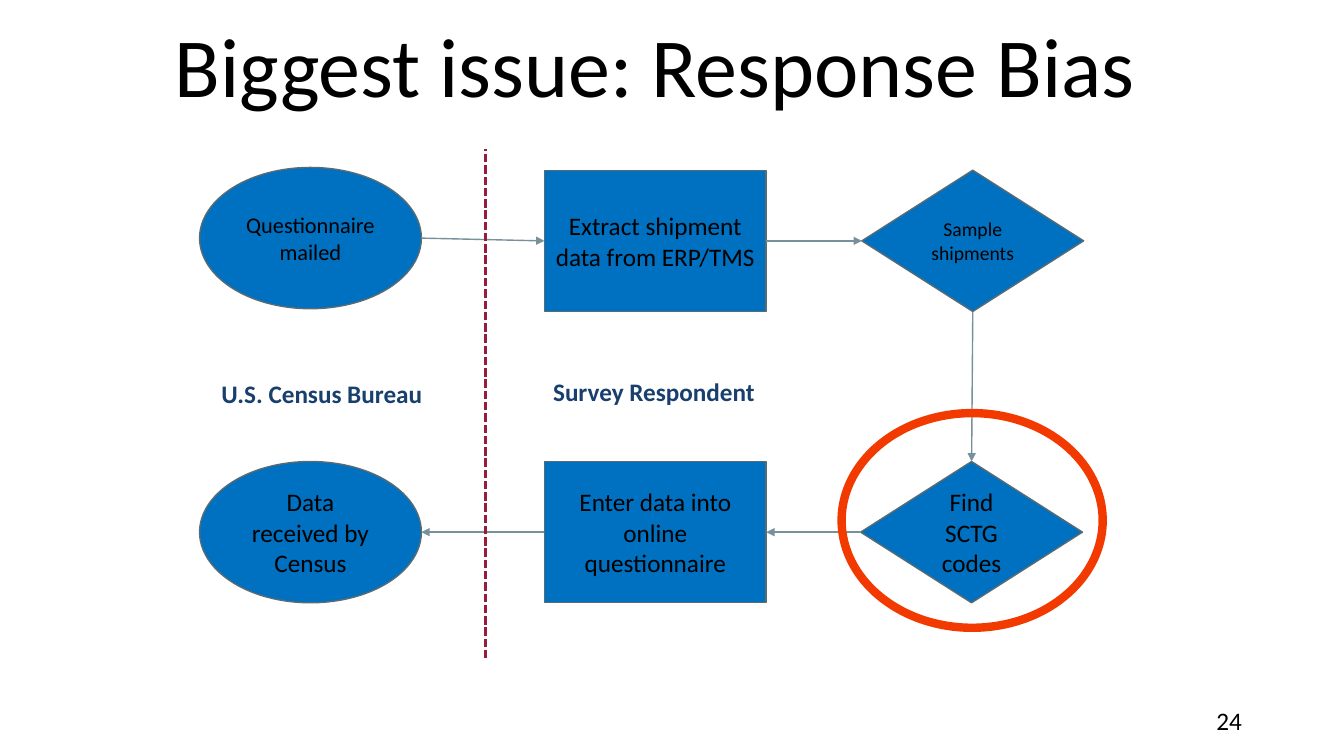
import dataclasses

import pptx
import pptx.dml.color
import pptx.enum.dml
import pptx.enum.shapes
import pptx.enum.text
import pptx.oxml
import pptx.oxml.ns
import pptx.util

Cm = pptx.util.Cm
Pt = pptx.util.Pt
Align = pptx.enum.text.PP_ALIGN
Anchor = pptx.enum.text.MSO_ANCHOR
Shape = pptx.enum.shapes.MSO_SHAPE


@dataclasses.dataclass(frozen=True)
class Theme:
    font: str = "Calibri"
    text: str = "000000"
    label: str = "183F6E"
    node_fill: str = "0070C0"
    node_line: str = "596B73"
    arrow: str = "78909C"
    divider: str = "981D3D"
    highlight: str = "F23A00"
    title_size: int = 60
    body_size: int = 18
    medium_size: int = 16
    small_size: int = 14


@dataclasses.dataclass(frozen=True)
class Box:
    """A rectangle in centimetres."""
    left: float
    top: float
    width: float
    height: float

    def inner(self, left, top, width, height):
        return Box(self.left + left, self.top + top, width, height)

    def lengths(self):
        return [Cm(value) for value in dataclasses.astuple(self)]


THEME = Theme()
NODE_WIDTH, NODE_HEIGHT = 5.59, 3.56

# key: preset, left, top, text, size
NODES = {
    "mailed": (Shape.OVAL, 0, 0.46, "Questionnaire mailed", THEME.medium_size),
    "received": (Shape.OVAL, 0, 7.87, "Data received by Census", THEME.body_size),
    "extract": (Shape.RECTANGLE, 8.69, 0.53, "Extract shipment data from ERP/TMS", THEME.body_size),
    "sample": (Shape.DIAMOND, 16.69, 0.53, "Sample shipments", THEME.small_size),
    "codes": (Shape.DIAMOND, 16.66, 7.87, "Find SCTG codes", THEME.body_size),
    "enter": (Shape.RECTANGLE, 8.69, 7.87, "Enter data into online questionnaire", THEME.body_size),
}
# Sites are numbered anticlockwise from the top.
TOP, LEFT, BOTTOM, RIGHT = range(4)
ARROWS = [
    ("mailed", RIGHT, "extract", LEFT),
    ("extract", RIGHT, "sample", LEFT),
    ("sample", BOTTOM, "codes", TOP),
    ("codes", LEFT, "enter", RIGHT),
    ("enter", LEFT, "received", RIGHT),
]


def rgb(value):
    return pptx.dml.color.RGBColor.from_string(value)


def apply(target, values):
    for name, value in values.items():
        setattr(target, name, value)


def write(shape, text, size, align, anchor, color=THEME.text, bold=False, wrap=True, spacing=1.0):
    frame = shape.text_frame
    apply(frame, {"word_wrap": wrap, "vertical_anchor": anchor})
    paragraph = frame.paragraphs[0]
    apply(paragraph, {"alignment": align, "line_spacing": spacing})
    run = paragraph.add_run()
    run.text = text
    apply(run.font, {"name": THEME.font, "size": Pt(size), "bold": bold})
    run.font.color.rgb = rgb(color)


def add_text(slide, box, text, size, align, anchor, **options):
    write(slide.shapes.add_textbox(*box.lengths()), text, size, align, anchor, **options)


def add_outlined(slide, preset, box, line, width, fill=None):
    shape = slide.shapes.add_shape(preset, *box.lengths())
    shape.shadow.inherit = False
    if fill:
        shape.fill.solid()
        shape.fill.fore_color.rgb = rgb(fill)
    else:
        shape.fill.background()
    shape.line.color.rgb = rgb(line)
    shape.line.width = Pt(width)
    return shape


def add_line(slide, color, width, start=(0, 0), end=(0, 0)):
    points = [Cm(value) for value in (*start, *end)]
    line = slide.shapes.add_connector(pptx.enum.shapes.MSO_CONNECTOR.STRAIGHT, *points)
    line.line.color.rgb = rgb(color)
    line.line.width = Pt(width)
    line._element.spPr.append(pptx.oxml.parse_xml(
        f'<a:effectLst {pptx.oxml.ns.nsdecls("a")}/>'))
    return line


def add_arrow(slide, source, source_site, target, target_site):
    arrow = add_line(slide, THEME.arrow, 1)
    arrow.begin_connect(source, source_site)
    arrow.end_connect(target, target_site)
    # An oval has eight sites, so each side has twice the usual number.
    for node, site, tag in ((source, source_site, "a:stCxn"), (target, target_site, "a:endCxn")):
        if node.auto_shape_type == Shape.OVAL:
            arrow._element.xpath(f".//{tag}")[0].set("idx", str(2 * site))
    arrow._element.xpath(".//a:ln")[0].append(pptx.oxml.parse_xml(
        f'<a:tailEnd {pptx.oxml.ns.nsdecls("a")} type="triangle"/>'))


def add_flowchart(slide, box):
    nodes = {}
    for key, (preset, left, top, text, size) in NODES.items():
        node_box = box.inner(left, top, NODE_WIDTH, NODE_HEIGHT)
        nodes[key] = add_outlined(slide, preset, node_box, THEME.node_line, 1, THEME.node_fill)
        write(nodes[key], text, size, Align.CENTER, Anchor.MIDDLE)
    for source, source_site, target, target_site in ARROWS:
        add_arrow(slide, nodes[source], source_site, nodes[target], target_site)

    divider_left = box.left + 7.21
    divider = add_line(slide, THEME.divider, 2, (divider_left, box.top + box.height),
                       (divider_left, box.top))
    divider.line.dash_style = pptx.enum.dml.MSO_LINE.SQUARE_DOT

    for left, top, text in ((0.3, 5.64, "U.S. Census Bureau"), (8.66, 5.61, "Survey Respondent")):
        add_text(slide, box.inner(left, top, 5.63, 1.02), text, THEME.body_size, Align.LEFT,
                 Anchor.TOP, color=THEME.label, bold=True, wrap=False)
    add_outlined(slide, Shape.OVAL, box.inner(16.18, 6.65, 6.58, 5.41), THEME.highlight, 6)


def add_title(slide, box):
    add_text(slide, box, "Biggest issue: Response Bias", THEME.title_size, Align.CENTER,
             Anchor.BOTTOM, spacing=0.9)


def add_page_number(slide, box):
    add_text(slide, box, "24", THEME.body_size, Align.RIGHT, Anchor.MIDDLE)


def main():
    presentation = pptx.Presentation()
    apply(presentation, {"slide_width": Cm(33.87), "slide_height": Cm(19.05)})
    slide = presentation.slides.add_slide(presentation.slide_layouts[6])
    add_page_number(slide, Box(23.93, 17.65, 7.62, 1.02))
    add_flowchart(slide, Box(5.03, 3.76, 22.76, 12.83))
    add_title(slide, Box(3.81, -0.56, 25.4, 3.61))
    presentation.save("out.pptx")


if __name__ == "__main__":
    main()
